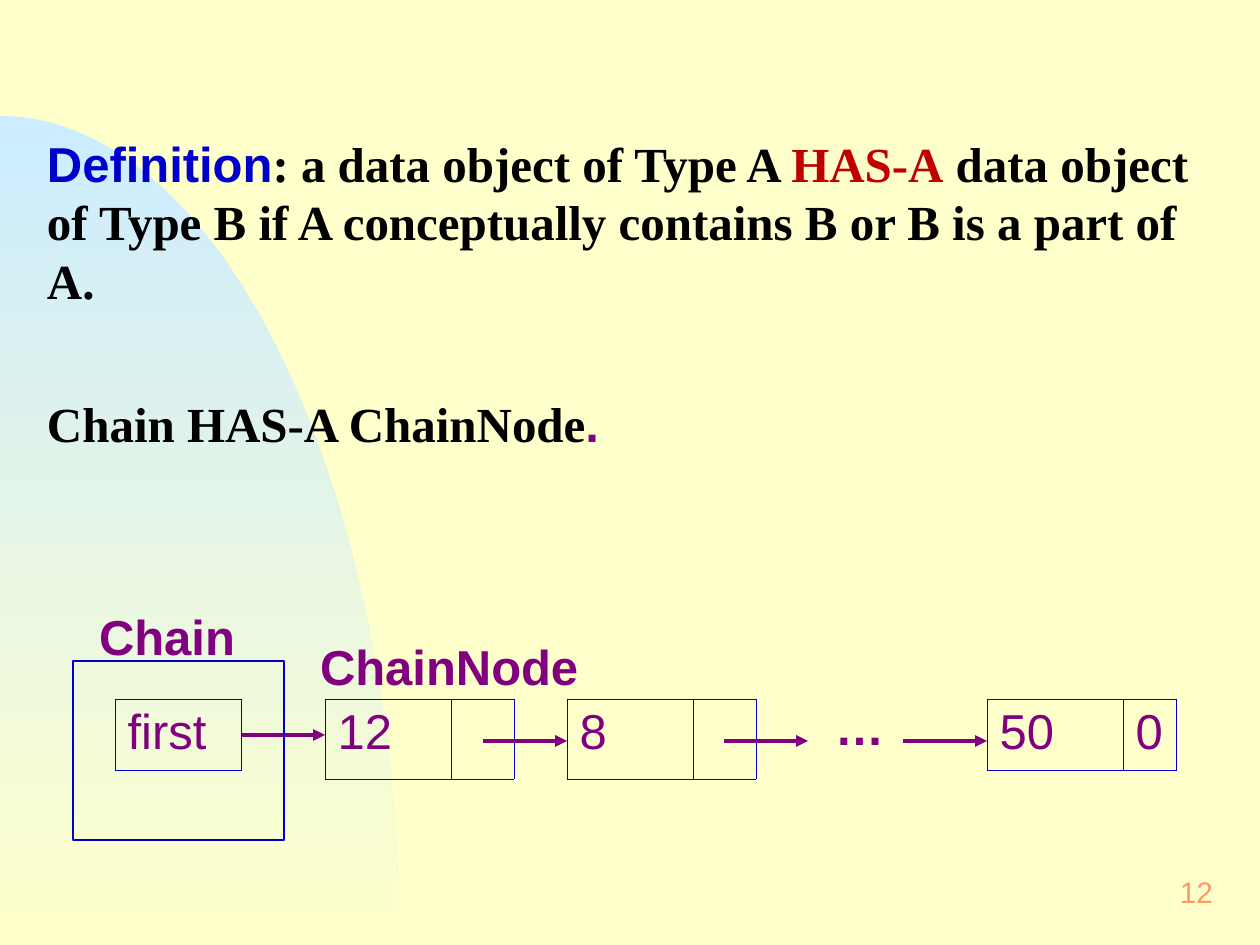
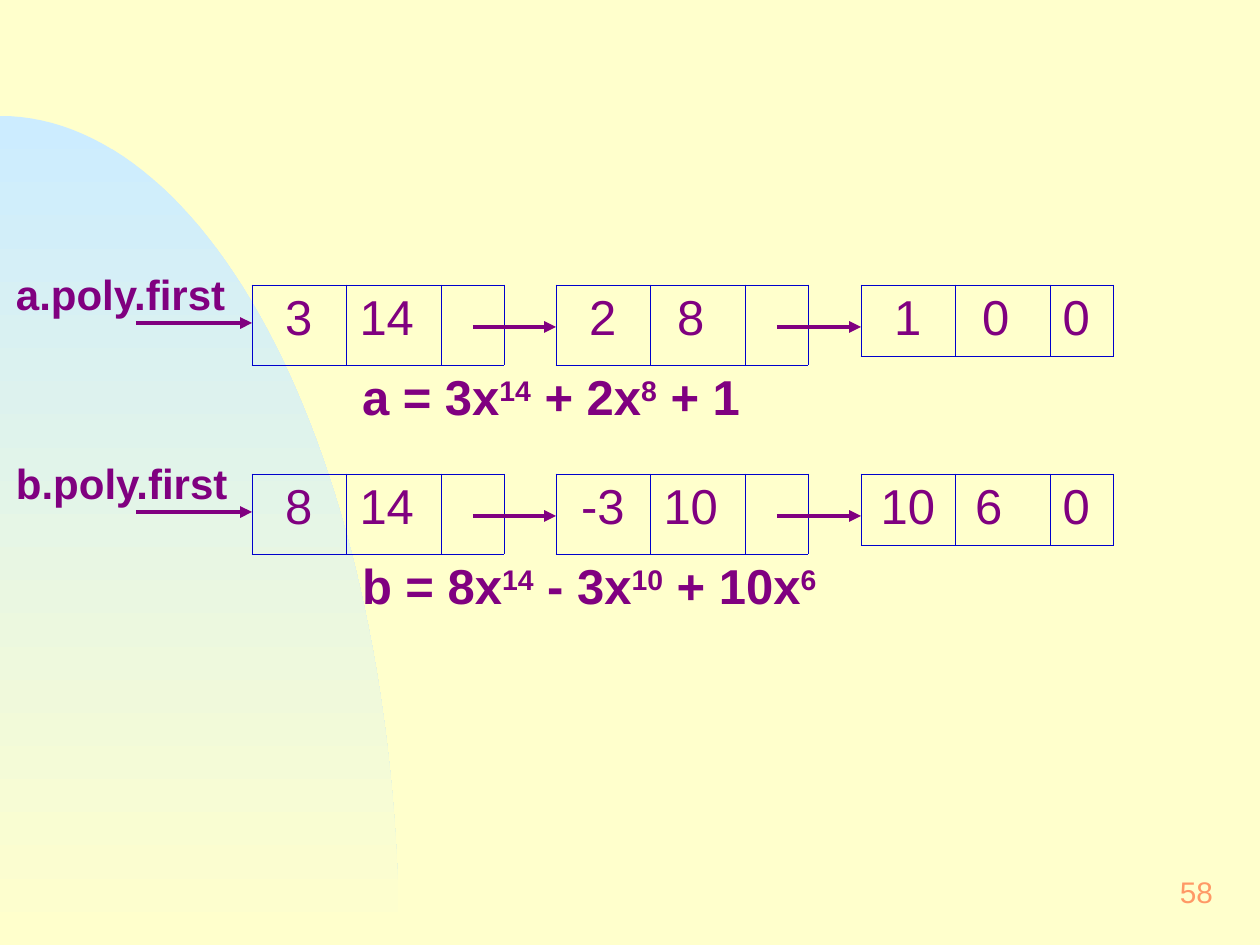
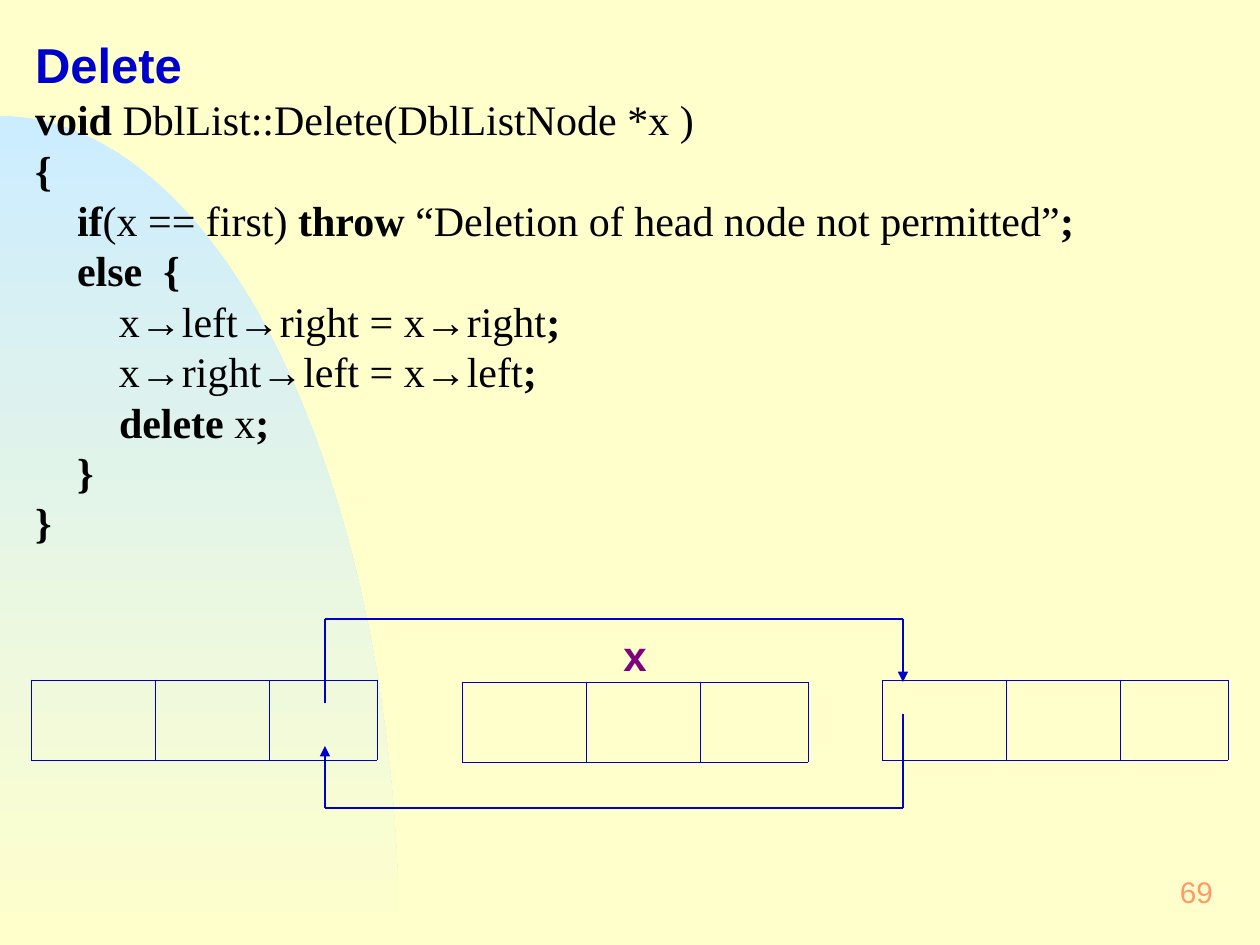
import math
from lxml import etree
from pptx import Presentation
from pptx import util as u
from pptx.dml import color
from pptx.enum import shapes, text
from pptx.oxml import ns

WIDE, HIGH = 1260, 945
CREAM, SKY, BLUE, PLUM = "FFFFCC", "CCECFF", "0000CC", "800080"
INK, RED, PEACH = "010000", "C00000", "FF9966"
SANS, SERIF = "Arial", "Times New Roman"
LEFT, MID, RIGHT = text.PP_ALIGN.LEFT, text.PP_ALIGN.CENTER, text.PP_ALIGN.RIGHT


def px(n):
    return u.Emu(round(n * 914400 / 126))


def hue(code):
    return color.RGBColor.from_string(code)


def sub(node, tag, **attrs):
    return etree.SubElement(node, ns.qn(tag), attrs)


# Text
def style(font, size=None, ink=None, face=None, bold=None):
    if size:
        font.size = u.Pt(size)
    if ink:
        font.color.rgb = hue(ink)
    if face:
        font.name = face
    if bold is not None:
        font.bold = bold


def cut(line, mark, **look):
    """Split a line at a mark; every second piece gets the look."""
    bits = enumerate(line.split(mark))
    return [(bit, look if i % 2 else {}) for i, bit in bits if bit]


def write(para, runs, size=28, ink=PLUM, face=SANS, bold=False, align=LEFT):
    para.alignment = align
    style(para.font, size, ink, face, bold)
    for words, look in runs:
        run = para.add_run()
        run.text = words
        look = dict(look)
        if look.pop("sup", False):
            run._r.get_or_add_rPr().set("baseline", "30000")
        style(run.font, **look)


def frame(slide, x, y, w, h):
    tf = slide.shapes.add_textbox(px(x), px(y), px(w), px(h)).text_frame
    tf.word_wrap = True
    tf.margin_left = tf.margin_right = px(16)
    tf.margin_top = tf.margin_bottom = px(8)
    return tf


def label(slide, x, y, w, h, runs, **look):
    if isinstance(runs, str):
        runs = [(runs, {})]
    tf = frame(slide, x, y, w, h)
    write(tf.paragraphs[0], runs, **{"bold": True, **look})
    return tf


# Lines and nodes
def line(slide, x1, y1, x2, y2, ink=PLUM, width=2.25, tip=True):
    wire = slide.shapes.add_connector(
        shapes.MSO_CONNECTOR.STRAIGHT, px(x1), px(y1), px(x2), px(y2))
    wire.line.color.rgb = hue(ink)
    wire.line.width = u.Pt(width)
    if tip:
        sub(wire.line._get_or_add_ln(), "a:tailEnd", type="triangle")
    sub(wire._element.spPr, "a:effectLst")


def edge(cell, ink):
    props = cell._tc.get_or_add_tcPr()
    for side in "LRTB":
        rule = sub(props, "a:ln" + side, w=str(u.Pt(0.45)))
        if ink:
            sub(sub(rule, "a:solidFill"), "a:srgbClr", val=ink)
        else:
            sub(rule, "a:noFill")


def node(slide, x, y, cols, high, words=(), aligns=(), pads=(), ink=BLUE, **look):
    """One row of cells; pads widen the right margins."""
    grid = slide.shapes.add_table(
        1, len(cols), px(x), px(y), px(sum(cols)), px(high)).table
    grid.first_row = grid.horz_banding = False
    grid.rows[0].height = px(high)
    for i, wide in enumerate(cols):
        grid.columns[i].width = px(wide)
        cell = grid.cell(0, i)
        edge(cell, ink)
        cell.fill.background()
        if i < len(words):
            align = aligns[i] if aligns else LEFT
            write(cell.text_frame.paragraphs[0], [(words[i], {})], align=align, **look)
        if i < len(pads):
            cell.margin_right = px(13 + pads[i])


# Shared backdrop
def backdrop(deck, slide):
    master = deck.slide_master
    master.background.fill.solid()
    master.background.fill.fore_color.rgb = hue(CREAM)
    rx, ry, steps = 399, 829, 60
    turns = [math.pi / 2 * i / steps for i in range(steps + 1)]
    arc = [(px(rx * math.sin(t)), px(HIGH - ry * math.cos(t))) for t in turns]
    pen = slide.shapes.build_freeform(*arc[0])
    pen.add_line_segments(arc[1:] + [(0, px(HIGH))], close=True)
    curve = pen.convert_to_shape()
    curve.shadow.inherit = False
    curve.line.fill.background()
    curve.fill.gradient()
    curve.fill.gradient_angle = 270
    for stop, ink in zip(curve.fill.gradient_stops, (SKY, CREAM)):
        stop.color.rgb = hue(ink)
    curve._element.nvSpPr.cNvPr.set("id", "20")
    master.shapes._spTree.insert(2, curve._element)


def page(deck, number):
    slide = deck.slides.add_slide(deck.slide_layouts[6])
    tf = label(slide, 967, 860, 262, 63, number,
               size=17, ink=PEACH, bold=False, align=RIGHT)
    tf.vertical_anchor = text.MSO_ANCHOR.MIDDLE
    return slide


# Slide 12
def define(slide, x, y):
    tf = frame(slide, x, y, 1197, 334)
    write(tf.paragraphs[0], [
        ("Definition", dict(ink=BLUE, face=SANS)),
        (": a data object of Type A ", {}),
        ("HAS-A", dict(ink=RED)),
        (" data object of Type B if A conceptually contains B or B is a part of A.", {}),
    ], ink=INK, face=SERIF, bold=True)
    para = tf.add_paragraph()
    para.space_before = u.Pt(48)
    write(para, [("Chain HAS-A ChainNode", {}), (".", dict(ink=PLUM, face=SANS))],
          ink=INK, face=SERIF, bold=True)


def chain(slide, x, y):
    top = y + 38
    node(slide, x + 42, top, [126], 71, ["first"])
    for left, word in ((252, "12"), (494, "8")):
        node(slide, x + left, top, [126, 63], 80, [word])
    node(slide, x + 914, top, [136, 53], 71, ["50", "0"])
    line(slide, x + 169, top + 36, x + 252, top + 36)
    for left in (410, 651, 830):
        line(slide, x + left, top + 42, x + left + 84, top + 42)
    label(slide, x + 746, y + 28, 84, 74, "…")
    label(slide, x + 231, y - 32, 296, 74, "ChainNode")
    label(slide, x + 10, y - 62, 169, 74, "Chain")
    # Chain object
    box = slide.shapes.add_shape(
        shapes.MSO_SHAPE.RECTANGLE, px(x), px(y), px(211), px(179))
    box.shadow.inherit = False
    box.fill.background()
    box.line.color.rgb = hue(BLUE)
    box.line.width = u.Pt(1.5)


# Slide 58
def poly(slide, y, name, terms, sums):
    x = 252
    last = len(terms) - 1
    lefts = [x + i * 609 // 2 for i in range(len(terms))]
    for i, (coef, power, pad) in enumerate(terms):
        words = [coef, power] + (["0"] if i == last else [])
        node(slide, lefts[i], y, [94, 95, 63], 71 if i == last else 80,
             words, [MID, MID, LEFT], [0, pad])
        if i < last:
            line(slide, lefts[i] + 221, y + 42, lefts[i + 1], y + 42)
    line(slide, 136, y + 38, x, y + 38)
    label(slide, 0, y - 24, 262, 66, name, size=24)
    label(slide, 346, y + 74, 536, 74, cut(sums, "^", sup=True))


# Slide 69
CODE = """**void** DblList::Delete(DblListNode *x )
**{**
    **if**(x == first) **throw **“Deletion of head node not permitted”**;**
    **else  {**
        x→left→right = x→right**;**
        x→right→left = x→left**;**
        **delete** x**;**
    **}**
**}**"""


def code(slide, x, y):
    tf = label(slide, x, y, 1216, 534, "Delete", ink=BLUE)
    tf.paragraphs[0].line_spacing = 1.1
    for row in CODE.split("\n"):
        para = tf.add_paragraph()
        para.line_spacing = 1.0
        write(para, cut(row, "**", bold=True), size=24, ink=INK, face=SERIF)


def unlink(slide, x, y):
    for left, drop in ((0, 0), (431, 2), (851, 0)):
        node(slide, x + left, y + drop, [124, 114, 108], 80)
    # Links that bypass x
    west, east, over, under = x + 294, x + 872, y - 61, y + 128
    for ends, tip in (
            ((west, y + 23, west, over), False),
            ((west, over, east, over), False),
            ((east, over, east, y + 2), True),
            ((east, y + 34, east, under), False),
            ((east, under, west, under), False),
            ((west, under, west, y + 66), True)):
        line(slide, *ends, ink=BLUE, width=1.5, tip=tip)
    node(slide, x + 546, y - 53, [116], 66, ["x"], [MID], ink=None,
         size=24, bold=True)


def main():
    deck = Presentation()
    deck.slide_width, deck.slide_height = px(WIDE), px(HIGH)

    slide = page(deck, "12")
    backdrop(deck, slide)
    define(slide, 31, 125)
    chain(slide, 73, 661)

    slide = page(deck, "58")
    poly(slide, 285, "a.poly.first",
         [("3", "14", 13), ("2", "8", 13), ("1", "0", 13)],
         "a = 3x^14^ + 2x^8^ + 1")
    poly(slide, 474, "b.poly.first",
         [("8", "14", 13), ("-3", "10", 13), ("10", "6", 27)],
         "b = 8x^14^ - 3x^10^ + 10x^6^")

    slide = page(deck, "69")
    code(slide, 19, 21)
    unlink(slide, 31, 680)
    deck.save("out.pptx")


if __name__ == "__main__":
    main()
